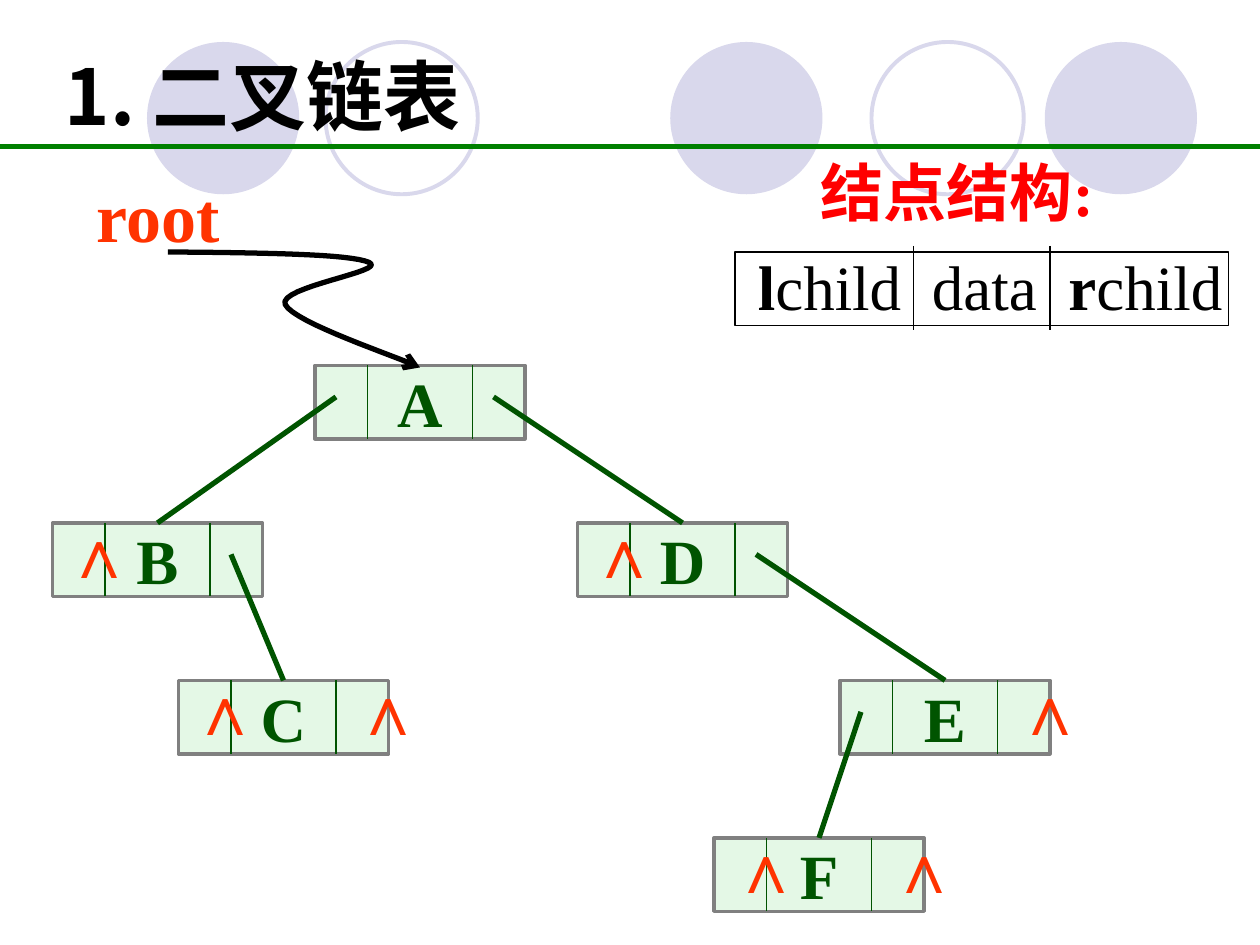
import dataclasses

import pptx
import pptx.dml.color
import pptx.enum.shapes
import pptx.enum.text
import pptx.oxml.ns
import pptx.util
from lxml import etree

Pt = pptx.util.Pt
qn = pptx.oxml.ns.qn
SHAPE = pptx.enum.shapes.MSO_SHAPE
STRAIGHT = pptx.enum.shapes.MSO_CONNECTOR.STRAIGHT


@dataclasses.dataclass(frozen=True)
class Theme:
    circle: str = "D9D8EC"
    rule: str = "008000"
    node_fill: str = "CAF2CE"
    node_edge: str = "808080"
    ink: str = "005400"
    accent: str = "FF3300"
    heading: str = "FF0000"
    black: str = "000000"
    serif: str = "Times New Roman"
    sans: str = "Arial"
    cjk: str = "Noto Sans CJK SC"
    title_size: int = 44
    large_size: int = 40
    label_size: int = 36


def rgb(value):
    return pptx.dml.color.RGBColor.from_string(value)


def bezier(start, first, second, end, steps=16):
    """Points along a cubic curve, without its start."""
    for step in range(1, steps + 1):
        t = step / steps
        u = 1 - t
        yield tuple(
            u**3 * a + 3 * u * u * t * b + 3 * u * t * t * c + t**3 * d
            for a, b, c, d in zip(start, first, second, end)
        )


class TreePage:
    NODE_WIDTH, NODE_HEIGHT = 120, 42
    DIVIDERS = (30, 90)
    POINTERS = {"left": 12, "right": 102}

    def __init__(self, page, theme):
        self.shapes = page.shapes
        self.theme = theme

    def style_font(self, para, size, color, face, bold=True):
        font = para.font
        font.size, font.name, font.bold = Pt(size), face, bold
        font.color.rgb = rgb(color)
        props = para._p.pPr.find(qn("a:defRPr"))
        east_asian = etree.Element(qn("a:ea"), typeface=self.theme.cjk)
        props.find(qn("a:latin")).addnext(east_asian)

    def outline(self, shape, color, width):
        shape.line.color.rgb = rgb(color)
        shape.line.width = Pt(width)

    def box(self, kind, left, top, width, height, fill=None, edge=None, weight=1):
        shape = self.shapes.add_shape(kind, Pt(left), Pt(top), Pt(width), Pt(height))
        shape.shadow.inherit = False
        if fill:
            shape.fill.solid()
            shape.fill.fore_color.rgb = rgb(fill)
        else:
            shape.fill.background()
        if edge:
            self.outline(shape, edge, weight)
        else:
            shape.line.fill.background()
        return shape

    def line(self, x1, y1, x2, y2, color, width=1):
        connector = self.shapes.add_connector(STRAIGHT, Pt(x1), Pt(y1), Pt(x2), Pt(y2))
        self.outline(connector, color, width)
        etree.SubElement(connector._element.spPr, qn("a:effectLst"))

    def text(self, spans, left, top, width, height, size, color, face,
             wrap=False, spacing=None, tabs=()):
        """Spans are (wording, bold) pairs, or one bold string."""
        box = self.shapes.add_textbox(Pt(left), Pt(top), Pt(width), Pt(height))
        frame = box.text_frame
        frame.word_wrap = wrap
        frame.auto_size = pptx.enum.text.MSO_AUTO_SIZE.SHAPE_TO_FIT_TEXT
        para = frame.paragraphs[0]
        if spacing:
            para.line_spacing = spacing
        if tabs:
            stops = etree.SubElement(para._p.get_or_add_pPr(), qn("a:tabLst"))
            for stop in tabs:
                etree.SubElement(stops, qn("a:tab"), pos=str(Pt(stop)), algn="l")
        self.style_font(para, size, color, face)
        if isinstance(spans, str):
            para.add_run().text = spans
            return
        for wording, bold in spans:
            span = para.add_run()
            span.text = wording
            span.font.bold = bold

    def node(self, name, left, top):
        theme = self.theme
        shape = self.box(SHAPE.RECTANGLE, left, top, self.NODE_WIDTH, self.NODE_HEIGHT,
                         theme.node_fill, theme.node_edge, 2)
        color = shape._element.spPr.find(qn("a:solidFill"))[0]
        etree.SubElement(color, qn("a:alpha"), val="50000")
        frame = shape.text_frame
        frame.word_wrap = False
        frame.vertical_anchor = pptx.enum.text.MSO_ANCHOR.MIDDLE
        para = frame.paragraphs[0]
        para.alignment = pptx.enum.text.PP_ALIGN.CENTER
        self.style_font(para, theme.label_size, theme.ink, theme.serif)
        span = para.add_run()
        span.text = name
        span.font.color.rgb = rgb(theme.ink)
        for offset in self.DIVIDERS:
            self.line(left + offset, top, left + offset, top + self.NODE_HEIGHT, theme.ink)

    def null_mark(self, left, top):
        self.text("∧", left, top - 12, 27, 55.5, self.theme.large_size,
                  self.theme.accent, self.theme.sans)

    def link(self, parent, side, child):
        self.line(parent[0] + self.POINTERS[side], parent[1] + 18,
                  child[0] + self.NODE_WIDTH / 2, child[1], self.theme.ink, 3)

    def curved_arrow(self, start, curves):
        builder = self.shapes.build_freeform(Pt(start[0]), Pt(start[1]))
        for first, second, end in curves:
            points = bezier(start, first, second, end)
            builder.add_line_segments([(Pt(x), Pt(y)) for x, y in points], close=False)
            start = end
        arrow = builder.convert_to_shape()
        arrow.shadow.inherit = False
        arrow.fill.background()
        self.outline(arrow, self.theme.black, 3)
        etree.SubElement(arrow.line._get_or_add_ln(), qn("a:tailEnd"), type="arrow")


def main():
    deck = pptx.Presentation()
    deck.slide_width, deck.slide_height = Pt(720), Pt(540)
    theme = Theme()
    tree = TreePage(deck.slides.add_slide(deck.slide_layouts[6]), theme)

    for left in (383, 597, 84):
        tree.box(SHAPE.OVAL, left, 24, 87, 87, fill=theme.circle)
    for left in (498, 186):
        tree.box(SHAPE.OVAL, left, 24, 87, 87, edge=theme.circle, weight=2.25)
    tree.line(0, 83.7, 720, 83.7, theme.rule, 2.5)

    lefts_and_levels = {"A": (180, 0), "D": (330, 1), "E": (480, 2),
                        "B": (30, 1), "C": (102, 2), "F": (408, 3)}
    nodes = {name: (left, 208.8 + 90 * level)
             for name, (left, level) in lefts_and_levels.items()}
    for name, (left, top) in nodes.items():
        tree.node(name, left, top)
    for name, offset in (("F", 3), ("F", 93), ("E", 93), ("D", 0),
                         ("C", 0), ("C", 93), ("B", 0)):
        left, top = nodes[name]
        tree.null_mark(left + offset, top)
    for parent, side, child in (("A", "left", "B"), ("A", "right", "D"),
                                ("B", "right", "C"), ("D", "right", "E"),
                                ("E", "left", "F")):
        tree.link(nodes[parent], side, nodes[child])

    tree.curved_arrow((96, 144), [
        ((148, 144.5), (200, 145), (211, 150)),
        ((222, 155), (158.5, 164), (163, 174)),
        ((168, 184.5), (227.5, 204), (240, 210)),
    ])
    tree.text("root", 48, 95, 85, 55.5, theme.large_size, theme.accent, theme.serif)

    fields = [("l", True), ("child\tdata\t", False), ("r", True), ("child", False)]
    tree.text(fields, 426, 138, 280, 50.5, theme.label_size, theme.black, theme.serif,
              tabs=(99.5, 177.5))
    tree.box(SHAPE.RECTANGLE, 420, 144, 282, 42, edge=theme.black)
    for x in (522, 600):
        tree.line(x, 140.5, x, 188.5, theme.black)
    tree.text("结点结构:", 462, 84, 178.5, 50.5, theme.label_size, theme.heading, theme.serif)
    tree.text("1. 二叉链表", 30, 13.5, 375, 70.5, theme.title_size, theme.black, theme.cjk,
              wrap=True, spacing=1.2)
    deck.save("out.pptx")


if __name__ == "__main__":
    main()
